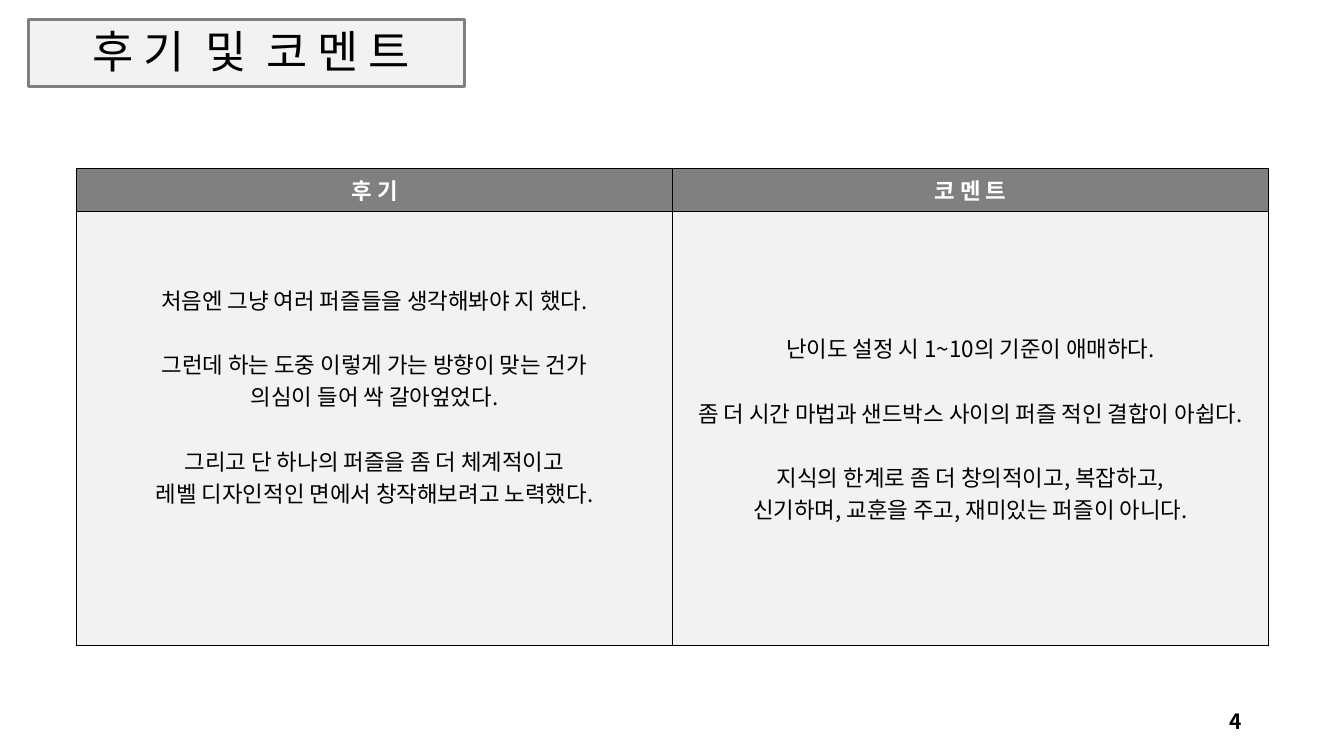
"""Build the review and comment slide with a titled two-column table."""
from dataclasses import dataclass

import pptx
import pptx.dml.color
import pptx.enum.shapes
import pptx.enum.text
import pptx.oxml
import pptx.oxml.ns
import pptx.util

Inches = pptx.util.Inches
Pt = pptx.util.Pt
RGBColor = pptx.dml.color.RGBColor
Align = pptx.enum.text.PP_ALIGN
Anchor = pptx.enum.text.MSO_ANCHOR

FONT = "Noto Sans CJK KR"
BLACK = RGBColor(0x00, 0x00, 0x00)
WHITE = RGBColor(0xFF, 0xFF, 0xFF)
GRAY = RGBColor(0x80, 0x80, 0x80)
PALE = RGBColor(0xF2, 0xF2, 0xF2)
BLOCK_GAP = Pt(23)


@dataclass
class Column:
    heading: str
    blocks: list[list[str]]
    bottom_margin: float = 0.05


COLUMNS = [
    Column(
        "후 기",
        [
            ["처음엔 그냥 여러 퍼즐들을 생각해봐야 지 했다."],
            ["그런데 하는 도중 이렇게 가는 방향이 맞는 건가", "의심이 들어 싹 갈아엎었다."],
            ["그리고 단 하나의 퍼즐을 좀 더 체계적이고", "레벨 디자인적인 면에서 창작해보려고 노력했다."],
        ],
        bottom_margin=0.69,
    ),
    Column(
        "코 멘 트",
        [
            ["난이도 설정 시 1~10의 기준이 애매하다."],
            ["좀 더 시간 마법과 샌드박스 사이의 퍼즐 적인 결합이 아쉽다."],
            ["지식의 한계로 좀 더 창의적이고, 복잡하고,", "신기하며, 교훈을 주고, 재미있는 퍼즐이 아니다."],
        ],
    ),
]


def format_paragraph(paragraph, size: float, color: RGBColor, bold: bool, align) -> None:
    paragraph.alignment = align
    for run in paragraph.runs:
        run.font.size = Pt(size)
        run.font.bold = bold
        run.font.name = FONT
        run.font.color.rgb = color
        east_asian = pptx.oxml.parse_xml(
            f'<a:ea {pptx.oxml.ns.nsdecls("a")} typeface="{FONT}"/>'
        )
        run.font._element.find(pptx.oxml.ns.qn("a:latin")).addnext(east_asian)


def add_title(slide) -> None:
    frame = slide.shapes.add_shape(
        pptx.enum.shapes.MSO_SHAPE.RECTANGLE,
        Inches(0.28), Inches(0.19), Inches(4.33), Inches(0.67),
    )
    frame.shadow.inherit = False
    frame.fill.solid()
    frame.fill.fore_color.rgb = PALE
    frame.line.color.rgb = GRAY
    frame.line.width = Pt(2.25)

    title = slide.shapes.title
    frame.element.addnext(title.element)
    title.left, title.top = Inches(0.42), Inches(0.18)
    title.width, title.height = Inches(4.15), Inches(0.65)
    title.text_frame.text = "후 기  및  코 멘 트"
    title.text_frame.vertical_anchor = Anchor.BOTTOM
    paragraph = title.text_frame.paragraphs[0]
    paragraph.line_spacing = 0.9
    format_paragraph(paragraph, 32, BLACK, False, Align.CENTER)


def add_page_number(slide) -> None:
    box = slide.shapes.add_textbox(Inches(9.42), Inches(6.95), Inches(3), Inches(0.4))
    box.text_frame.word_wrap = True
    box.text_frame.vertical_anchor = Anchor.MIDDLE
    box.text_frame.text = "4"
    format_paragraph(box.text_frame.paragraphs[0], 15, BLACK, True, Align.RIGHT)


def fill_cell(cell, blocks: list[list[str]], fill: RGBColor, color: RGBColor, bold: bool) -> None:
    cell.fill.solid()
    cell.fill.fore_color.rgb = fill
    cell.vertical_anchor = Anchor.MIDDLE
    properties = cell._tc.get_or_add_tcPr()
    for index, side in enumerate("LRTB"):
        border = pptx.oxml.parse_xml(
            f'<a:ln{side} {pptx.oxml.ns.nsdecls("a")} w="{Pt(1)}">'
            f'<a:solidFill><a:srgbClr val="{BLACK}"/></a:solidFill></a:ln{side}>'
        )
        properties.insert(index, border)

    cell.text_frame.text = "\n".join(line for block in blocks for line in block)
    paragraphs = iter(cell.text_frame.paragraphs)
    for block_index, block in enumerate(blocks):
        for line_index in range(len(block)):
            paragraph = next(paragraphs)
            if block_index and not line_index:
                paragraph.space_before = BLOCK_GAP
            format_paragraph(paragraph, 16, color, bold, Align.CENTER)


def add_review_table(slide) -> None:
    table = slide.shapes.add_table(
        2, len(COLUMNS), Inches(0.76), Inches(1.67), Inches(11.82), Inches(4.73)
    ).table
    table.rows[0].height = Inches(0.43)
    table.rows[1].height = Inches(4.3)
    for index, column in enumerate(COLUMNS):
        table.columns[index].width = Inches(5.91)
        fill_cell(table.cell(0, index), [[column.heading]], GRAY, WHITE, True)
        body = table.cell(1, index)
        fill_cell(body, column.blocks, PALE, BLACK, False)
        body.margin_bottom = Inches(column.bottom_margin)


def main() -> None:
    presentation = pptx.Presentation()
    presentation.slide_width = Inches(13.33)
    presentation.slide_height = Inches(7.5)
    slide = presentation.slides.add_slide(presentation.slide_layouts[5])
    add_title(slide)
    add_page_number(slide)
    add_review_table(slide)
    presentation.save("out.pptx")


if __name__ == "__main__":
    main()
